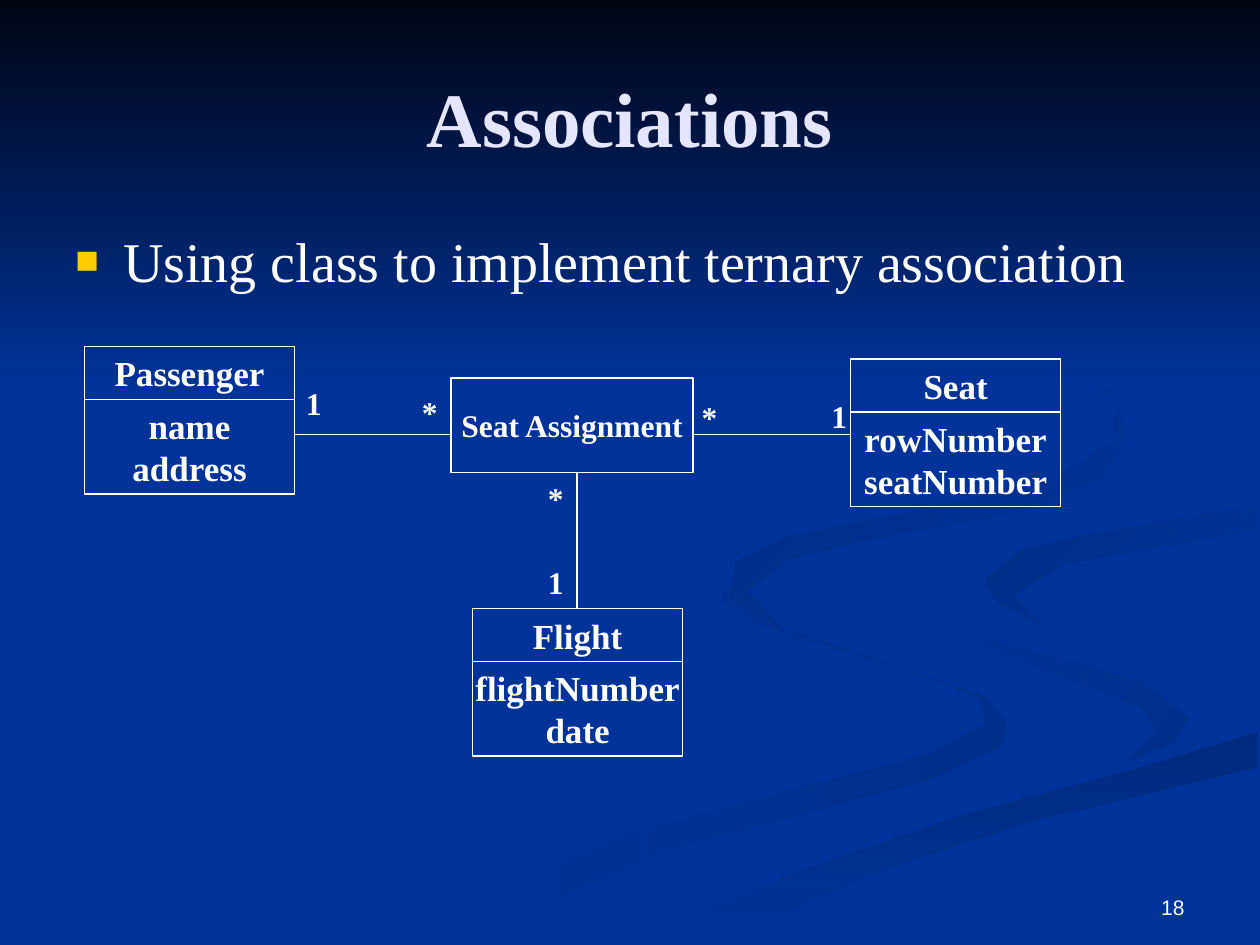
"""Build the Associations slide with a ternary association class diagram."""
from lxml.etree import SubElement
from pptx import Presentation
from pptx.dml.color import RGBColor
from pptx.enum.shapes import MSO_CONNECTOR, MSO_SHAPE
from pptx.enum.text import MSO_ANCHOR, PP_ALIGN
from pptx.oxml.ns import qn
from pptx.util import Inches, Pt

COLORS = {
    "background": "003399",
    "night": "000514",
    "title": "E5E5FF",
    "text": "FFFFFF",
    "bullet": "FFCC00",
    "ribbon_left": "002E8B",
    "ribbon_bottom": "002A7D",
    "ribbon_right": "002D86",
    "ribbon_top": "002B82",
}
SERIF = "Times New Roman"


def set_gradient(shape, first, last, angle):
    shape.shadow.inherit = False
    shape.line.fill.background()
    shape.fill.gradient()
    shape.fill.gradient_angle = (360 - angle) % 360
    for stop, name in zip(shape.fill.gradient_stops, (first, last)):
        stop.color.rgb = RGBColor.from_string(COLORS[name])


def write_text(shape, text, size, color="text", bold=True, font=SERIF,
               align=PP_ALIGN.CENTER, anchor=MSO_ANCHOR.MIDDLE, wrap=True, before=0):
    frame = shape.text_frame
    frame.text = text
    frame.word_wrap = wrap
    frame.vertical_anchor = anchor
    for paragraph in frame.paragraphs:
        paragraph.alignment = align
        paragraph.space_before = Pt(before)
        for run in paragraph.runs:
            run.font.size = Pt(size)
            run.font.name = font
            run.font.bold = bold
            run.font.color.rgb = RGBColor.from_string(COLORS[color])


presentation = Presentation()
presentation.slide_width = Inches(10)
presentation.slide_height = Inches(7.5)
slide = presentation.slides.add_slide(presentation.slide_layouts[6])
shapes = slide.shapes
slide.background.fill.solid()
slide.background.fill.fore_color.rgb = RGBColor.from_string(COLORS["background"])

ribbons = [
    ("background", "ribbon_left", 0, [
        (7.81, 5.53), (6.82, 5.19), (6.14, 4.96), (5.83, 4.77), (5.75, 4.59), (5.72, 4.76),
        (6.11, 4.99), (7.14, 5.3), (7.76, 5.53), (7.83, 5.74), (7.39, 5.98), (4.99, 6.61),
        (3, 7.49), (3.61, 7.49), (5.32, 6.74), (7.4, 6.18), (7.95, 5.92), (7.99, 5.73)]),
    ("background", "ribbon_left", 45, [
        (9.43, 5.7), (9.05, 5.4), (7.74, 5.03), (7.24, 4.64), (7.46, 5), (8.38, 5.36),
        (9.07, 5.62), (9.18, 5.81), (8.94, 6.05), (9.32, 5.89)]),
    ("ribbon_bottom", "background", 90, [
        (5.03, 7.49), (5.71, 7.49), (6.95, 6.92), (8.21, 6.51), (9.98, 6.09), (9.98, 5.81),
        (9.03, 6.1), (7.64, 6.47), (6.3, 6.93)]),
    ("ribbon_right", "background", 45, [
        (7.81, 4.6), (7.91, 4.78), (8.26, 4.96), (8.05, 4.72), (8.43, 4.48), (9.98, 4.2),
        (9.98, 4.02), (8.65, 4.24), (8.1, 4.37)]),
    ("ribbon_top", "background", 45, [
        (6.83, 4.3), (8.25, 4.02), (8.76, 3.78), (8.94, 3.44), (8.8, 3.07), (8.43, 2.75),
        (7.62, 2.33), (8.46, 2.79), (8.85, 3.2), (8.86, 3.48), (8.42, 3.78), (7.63, 3.98),
        (6.25, 4.26), (5.84, 4.46), (5.8, 4.74), (6.22, 5), (5.93, 4.7), (6.24, 4.44)]),
]
for first, last, angle, points in ribbons:
    corners = [(Inches(x), Inches(y)) for x, y in points]
    builder = shapes.build_freeform(*corners[0])
    builder.add_line_segments(corners[1:], close=True)
    set_gradient(builder.convert_to_shape(), first, last, angle)

sky = shapes.add_shape(MSO_SHAPE.RECTANGLE, 0, 0, Inches(10), Inches(3.08))
set_gradient(sky, "night", "background", 90)

title = shapes.add_textbox(Inches(0.5), Inches(0.3), Inches(9), Inches(1.25))
write_text(title, "Associations", 44, color="title")

body = shapes.add_textbox(Inches(0.5), Inches(1.75), Inches(9), Inches(4.95))
write_text(body, "Using class to implement ternary association", 32, bold=False,
           align=PP_ALIGN.LEFT, anchor=MSO_ANCHOR.TOP, before=8)
properties = body.text_frame.paragraphs[0]._p.get_or_add_pPr()
properties.set("marL", str(Inches(0.38)))
properties.set("indent", str(-Inches(0.38)))
bullet_color = SubElement(properties, qn("a:buClr"))
SubElement(bullet_color, qn("a:srgbClr"), val=COLORS["bullet"])
SubElement(properties, qn("a:buSzPct"), val="70000")
SubElement(properties, qn("a:buFont"), typeface="Arial")
SubElement(properties, qn("a:buChar"), char="■")

classes = [
    (0.67, 2.75, "Passenger", "name\naddress"),
    (6.75, 2.85, "Seat", "rowNumber\nseatNumber"),
    (3.75, 4.83, "Flight", "flightNumber\ndate"),
]
boxes = [(3.58, 3, 1.92, 0.75, "Seat Assignment", 18)]
for left, top, name, attributes in classes:
    boxes.append((left, top, 1.67, 0.42, name, 20))
    boxes.append((left, top + 0.42, 1.67, 0.75, attributes, 20))
for left, top, width, height, text, size in boxes:
    box = shapes.add_shape(MSO_SHAPE.RECTANGLE, Inches(left), Inches(top),
                           Inches(width), Inches(height))
    box.shadow.inherit = False
    box.fill.background()
    box.line.color.rgb = RGBColor.from_string(COLORS["text"])
    box.line.width = Pt(0.75)
    write_text(box, text, size, wrap=False)

links = [(3.58, 3.45, 2.33, 3.45), (6.75, 3.45, 5.5, 3.45), (4.58, 4.83, 4.58, 3.75)]
for link in links:
    connector = shapes.add_connector(MSO_CONNECTOR.STRAIGHT, *map(Inches, link))
    connector.line.color.rgb = RGBColor.from_string(COLORS["text"])
    connector.line.width = Pt(0.75)
    SubElement(connector._element.spPr, qn("a:effectLst"))

multiplicities = [
    (2.33, 3, "1"), (3.25, 3.07, "*"), (6.5, 3.1, "1"),
    (5.47, 3.11, "*"), (4.25, 4.42, "1"), (4.25, 3.75, "*"),
]
for left, top, text in multiplicities:
    label = shapes.add_textbox(Inches(left), Inches(top), Inches(0.33), Inches(0.4))
    write_text(label, text, 18, align=PP_ALIGN.LEFT, anchor=MSO_ANCHOR.TOP, before=11.2)

page_number = shapes.add_textbox(Inches(7.17), Inches(6.83), Inches(2.33), Inches(0.52))
write_text(page_number, "18", 12, bold=False, font="Arial",
           align=PP_ALIGN.RIGHT, anchor=MSO_ANCHOR.BOTTOM)

presentation.save("out.pptx")
